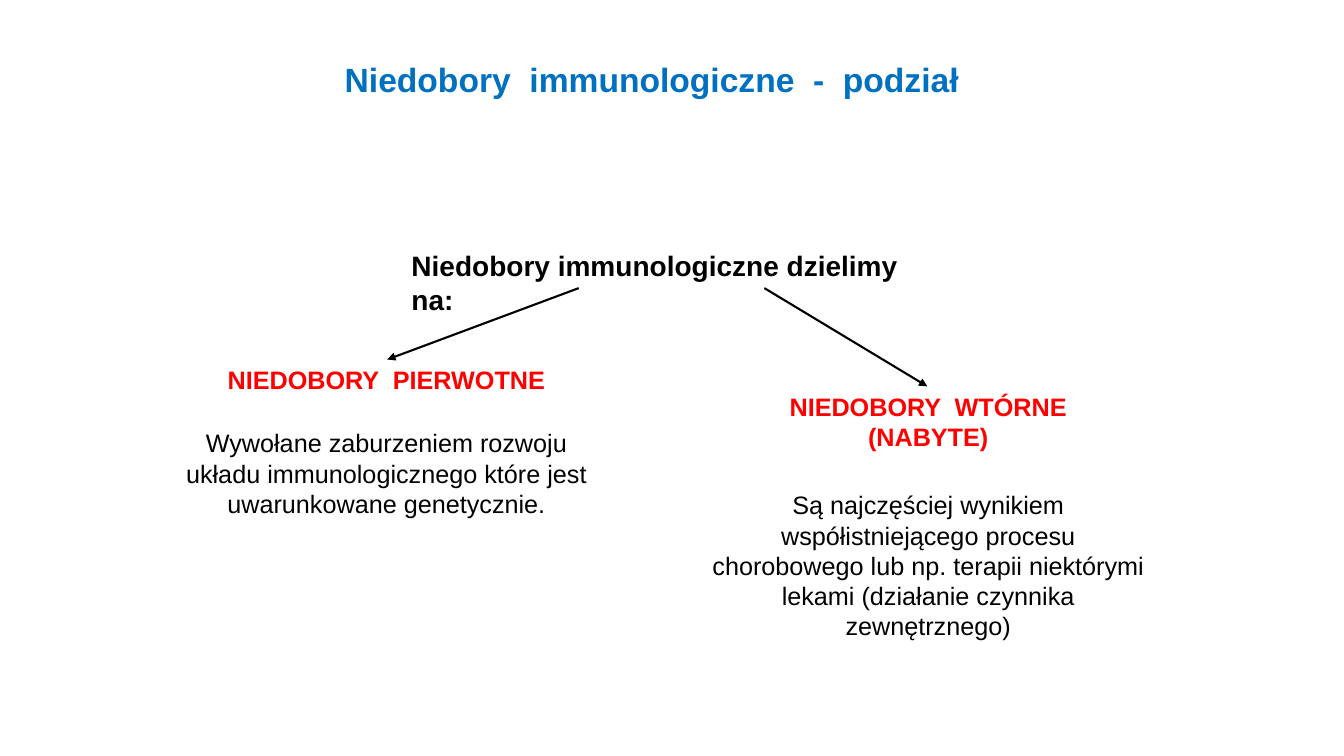
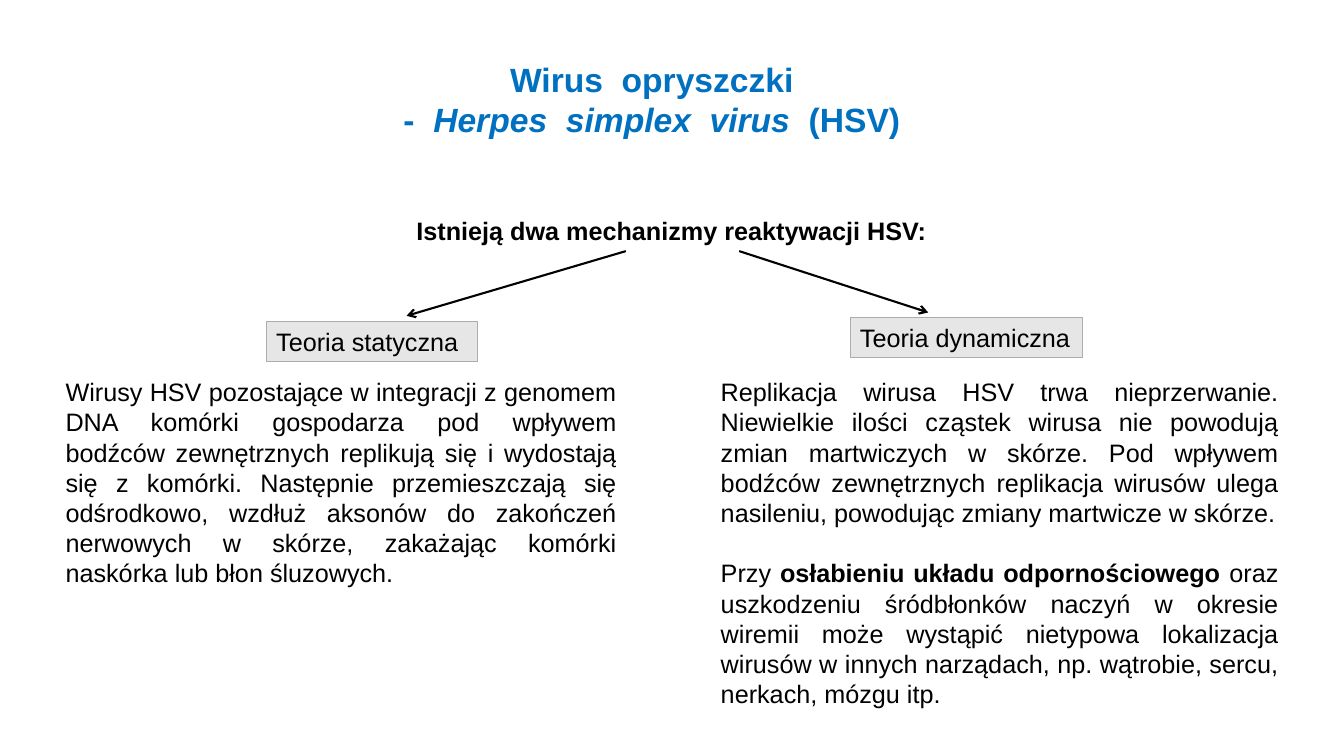
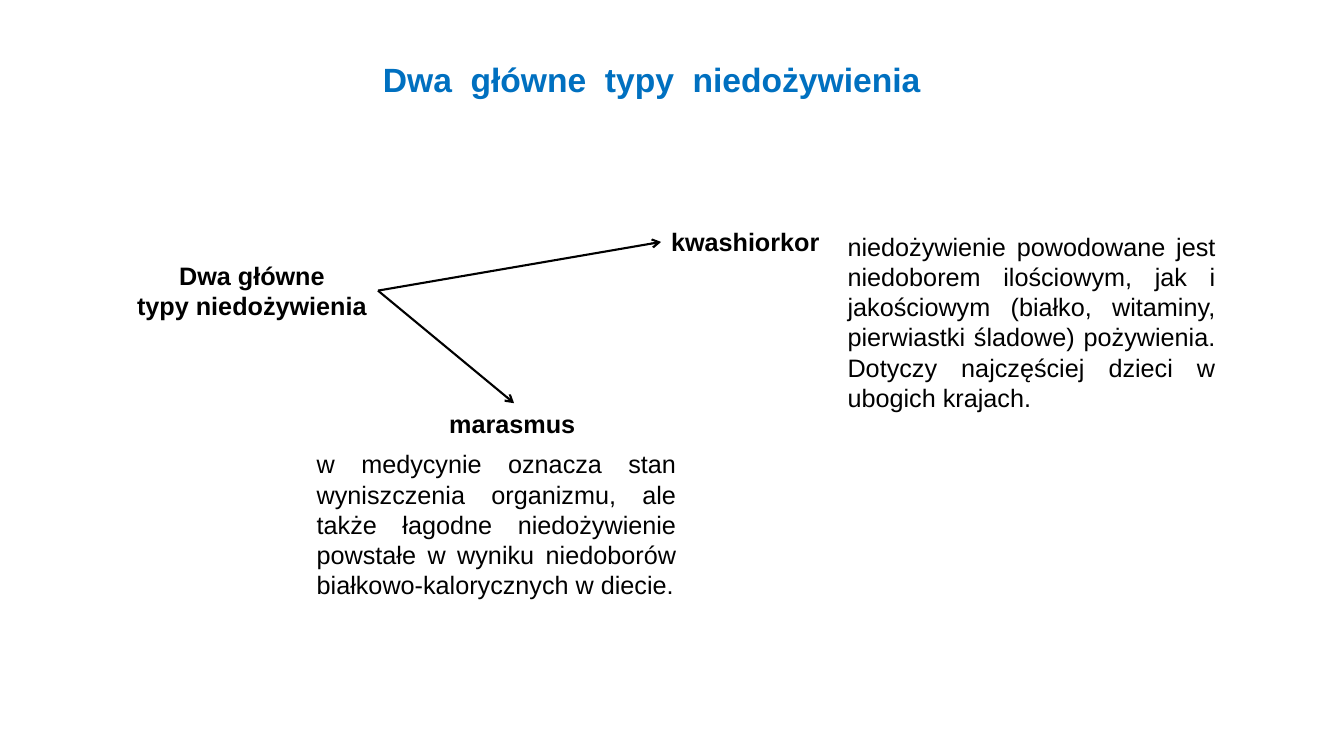
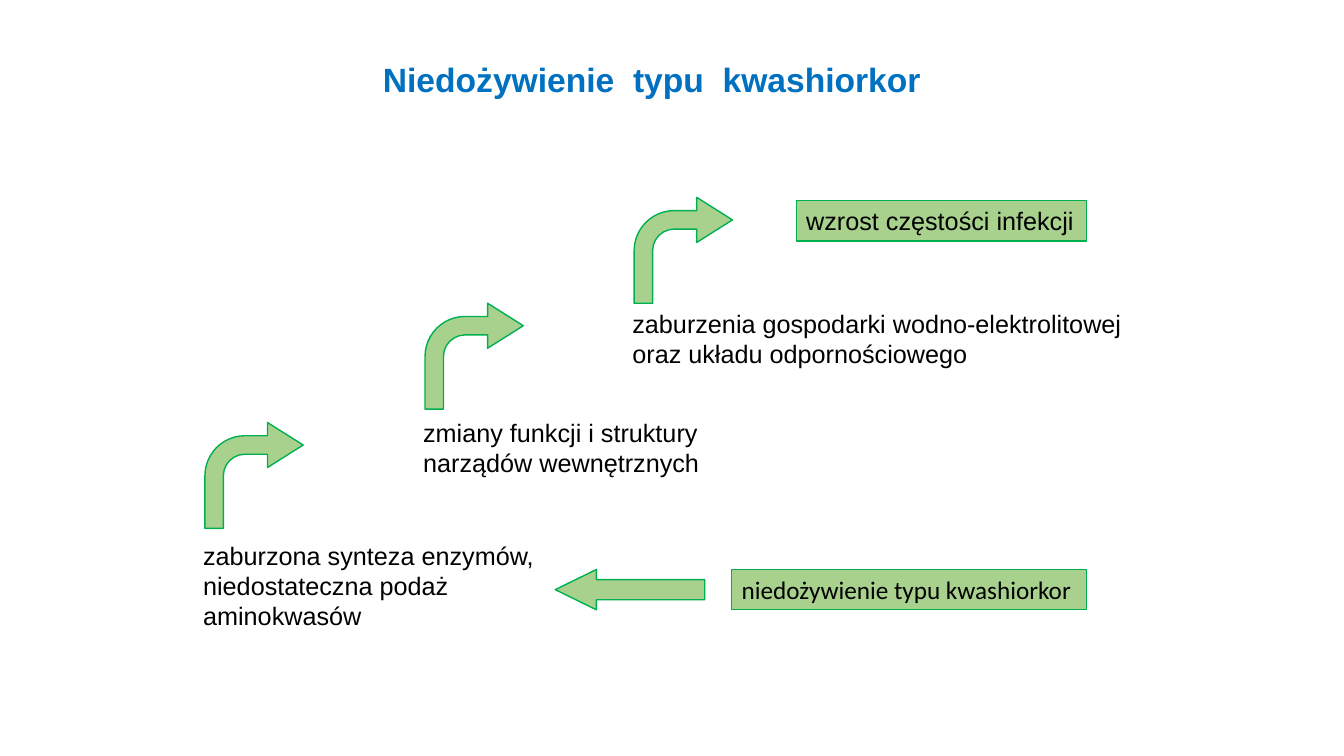
from lxml.etree import SubElement
from pptx import Presentation
from pptx.dml.color import RGBColor
from pptx.enum.shapes import MSO_CONNECTOR, MSO_SHAPE
from pptx.enum.text import MSO_ANCHOR, MSO_AUTO_SIZE, PP_ALIGN
from pptx.oxml.ns import qn
from pptx.util import Inches, Pt

COLS, ROWS = 160, 90
TWO, PLAIN = 3, 5
LEFT, MID, JUST = PP_ALIGN.LEFT, PP_ALIGN.CENTER, PP_ALIGN.JUSTIFY
HEX = {
    "title": "0070C0", "text": "000000", "key": "FF0000",
    "gray": "E7E6E6", "edge": "AFABAB",
    "green": "A9D18E", "rim": "00B050",
}


class Deck:
    """Hold the shared style and the current slide; lengths are grid columns and rows."""

    def __init__(self):
        self.prs = Presentation()
        self.prs.slide_width, self.prs.slide_height = Inches(13.33), Inches(7.5)

    def grid(self, col, row):
        return (round(self.prs.slide_width * col / COLS),
                round(self.prs.slide_height * row / ROWS))

    def box(self, at):
        return self.grid(*at[:2]) + self.grid(*at[2:])

    def color(self, name):
        return RGBColor.from_string(HEX[name])

    def page(self, title, kind=PLAIN, high=6, emph="italic"):
        self.slide = self.prs.slides.add_slide(self.prs.slide_layouts[kind])
        head = self.slide.shapes.title
        self.place(head, (20, 6.4, 115.2, high))
        self.letter(head, title, size=24, color="title", bold=True, align=MID, emph=emph)

    def place(self, shape, at):
        shape.left, shape.top, shape.width, shape.height = self.box(at)

    def letter(self, shape, text, size=18, color="text", bold=False, align=LEFT,
               font="Arial", emph="bold", gap=0, wrap=True):
        frame = shape.text_frame
        frame.text = text.replace("*", "")
        frame.word_wrap = wrap
        frame.auto_size = MSO_AUTO_SIZE.NONE
        frame.vertical_anchor = MSO_ANCHOR.TOP
        for i, (para, line) in enumerate(zip(frame.paragraphs, text.split("\n"))):
            para.alignment = align
            para.space_before = Pt(gap if i else 0)
            parts = line.split("*")
            para.runs[0].text = parts[0]
            for part in parts[1:]:
                para.add_run().text = part
            for j, run in enumerate(para.runs):
                run.font.name, run.font.size = font, Pt(size)
                run.font.bold = bold
                run.font.color.rgb = self.color(color)
                if j % 2:
                    setattr(run.font, emph, True)

    def body(self, slot, at, text, **style):
        shape = self.slide.placeholders[slot]
        self.place(shape, at)
        self.letter(shape, text, **style)
        for para in shape.text_frame.paragraphs:
            props = para._p.get_or_add_pPr()
            props.set("marL", "0")
            props.set("indent", "0")
            SubElement(props, qn("a:buNone"))

    def label(self, at, text, **style):
        self.letter(self.slide.shapes.add_textbox(*self.box(at)), text, **style)

    def shape(self, kind, at, fill="green", edge="rim", width=1, adjust=()):
        shape = self.slide.shapes.add_shape(kind, *self.box(at))
        shape.shadow.inherit = False
        shape.fill.solid()
        shape.fill.fore_color.rgb = self.color(fill)
        shape.line.color.rgb = self.color(edge)
        shape.line.width = Pt(width)
        for i, value in enumerate(adjust):
            shape.adjustments[i] = value
        return shape

    def tag(self, at, text, fill="green", edge="rim", **style):
        shape = self.shape(MSO_SHAPE.RECTANGLE, at, fill, edge, 0.75)
        self.letter(shape, text, **style)

    def arrow(self, start, end, tip="arrow"):
        line = self.slide.shapes.add_connector(
            MSO_CONNECTOR.STRAIGHT, *self.grid(*start), *self.grid(*end))
        line.line.color.rgb = self.color("text")
        line.line.width = Pt(1.5)
        SubElement(line.line._get_or_add_ln(), qn("a:tailEnd"), type=tip)
        SubElement(line._element.spPr, qn("a:effectLst"))


def split(deck):
    deck.page("Niedobory  immunologiczne  -  podział", TWO)
    deck.label((47.8, 29, 66.2, 5.3), "Niedobory immunologiczne dzielimy na:",
               size=20, bold=True)
    key = dict(color="key", bold=True, align=MID, wrap=False)
    deck.label((25.8, 42.8, 40.4, 4.8), "NIEDOBORY  PIERWOTNE", **key)
    deck.label((92.7, 46, 35.6, 8.5), "NIEDOBORY  WTÓRNE\n(NABYTE)", **key)
    deck.body(1, (20, 50.3, 52, 12.1),
              "Wywołane zaburzeniem rozwoju układu immunologicznego "
              "które jest uwarunkowane genetycznie.", align=MID)
    deck.body(2, (83.4, 57.7, 54.2, 23),
              "Są najczęściej wynikiem współistniejącego procesu chorobowego lub np. "
              "terapii niektórymi lekami (działanie czynnika zewnętrznego)", align=MID)
    deck.arrow((68.9, 34.3), (46.1, 42.8), "triangle")
    deck.arrow((91, 34.3), (110.4, 46), "triangle")


def herpes(deck):
    deck.page("Wirus  opryszczki\n-  *Herpes  simplex  virus*  (HSV)", TWO, high=11)
    deck.label((48.4, 25.1, 64.6, 4.8), "Istnieją dwa mechanizmy reaktywacji HSV:",
               bold=True, wrap=False)
    deck.tag((31.7, 38.3, 25.2, 4.8), "Teoria statyczna", "gray", "edge")
    deck.tag((101.2, 37.8, 27.7, 4.8), "Teoria dynamiczna", "gray", "edge")
    deck.body(1, (6.6, 44.2, 68, 26.6),
              "Wirusy HSV pozostające w integracji z genomem DNA komórki gospodarza "
              "pod wpływem bodźców zewnętrznych replikują się i wydostają się z komórki. "
              "Następnie przemieszczają się odśrodkowo, wzdłuż aksonów do zakończeń "
              "nerwowych w skórze, zakażając komórki naskórka lub błon śluzowych.",
              align=JUST)
    deck.body(2, (84.6, 44.2, 68.8, 41.2),
              "Replikacja wirusa HSV trwa nieprzerwanie. Niewielkie ilości cząstek wirusa "
              "nie powodują zmian martwiczych w skórze. Pod wpływem bodźców zewnętrznych "
              "replikacja wirusów ulega nasileniu, powodując zmiany martwicze w skórze.\n"
              "Przy *osłabieniu układu odpornościowego* oraz uszkodzeniu śródbłonków naczyń "
              "w okresie wiremii może wystąpić nietypowa lokalizacja wirusów w innych "
              "narządach, np. wątrobie, sercu, nerkach, mózgu itp.",
              align=JUST, gap=21.6)
    deck.arrow((74.5, 29.9), (48.4, 37.6))
    deck.arrow((88, 29.9), (110.5, 37.2))


def types(deck):
    deck.page("Dwa  główne  typy  niedożywienia", TWO)
    deck.label((15, 30.4, 30, 8.5), "Dwa główne\ntypy niedożywienia",
               bold=True, align=MID, wrap=False)
    deck.label((78.7, 26.4, 21.1, 4.8), "kwashiorkor", bold=True)
    deck.label((52.3, 48, 17.5, 4.8), "marasmus", bold=True)
    deck.body(1, (36.5, 52.8, 45.2, 19.4),
              "w medycynie oznacza stan wyniszczenia organizmu, ale także łagodne "
              "niedożywienie powstałe w wyniku niedoborów białkowo-kalorycznych w diecie.",
              align=JUST)
    deck.body(2, (99.7, 26.9, 46.2, 23),
              "niedożywienie powodowane jest niedoborem ilościowym, jak i jakościowym "
              "(białko, witaminy, pierwiastki śladowe) pożywienia. Dotyczy najczęściej "
              "dzieci w ubogich krajach.", align=JUST)
    for end in ((78.7, 28.8), (61.2, 48)):
        deck.arrow((45, 34.6), end)


def stairs(deck):
    deck.page("Niedożywienie  typu  kwashiorkor")
    steps = (
        (23, 63.7, 41.9, 50.3, "zaburzona synteza enzymów,\nniedostateczna podaż aminokwasów"),
        (49.2, 49.1, 37.9, 36.1, "zmiany funkcji i struktury narządów wewnętrznych"),
        (74.1, 36.1, 61.2, 23.5,
         "zaburzenia gospodarki wodno-elektrolitowej oraz układu odpornościowego"),
    )
    for col, row, wide, top, text in steps:
        deck.label((col, row, wide, 8.5), text)
        deck.shape(MSO_SHAPE.BENT_ARROW, (col + 1.4, top, 11.7, 12.6),
                   adjust=(0.188, 0.229, 0.363, 0.407))
    deck.tag((94.8, 23.9, 34.6, 4.8), "wzrost częstości infekcji")
    deck.tag((87.1, 67.8, 42.3, 4.8), "niedożywienie typu kwashiorkor", font="Calibri")
    deck.shape(MSO_SHAPE.LEFT_ARROW, (66.1, 67.8, 17.8, 4.8), adjust=(0.5, 1.02))


def main():
    deck = Deck()
    for build in (split, herpes, types, stairs):
        build(deck)
    deck.prs.save("out.pptx")


if __name__ == "__main__":
    main()
